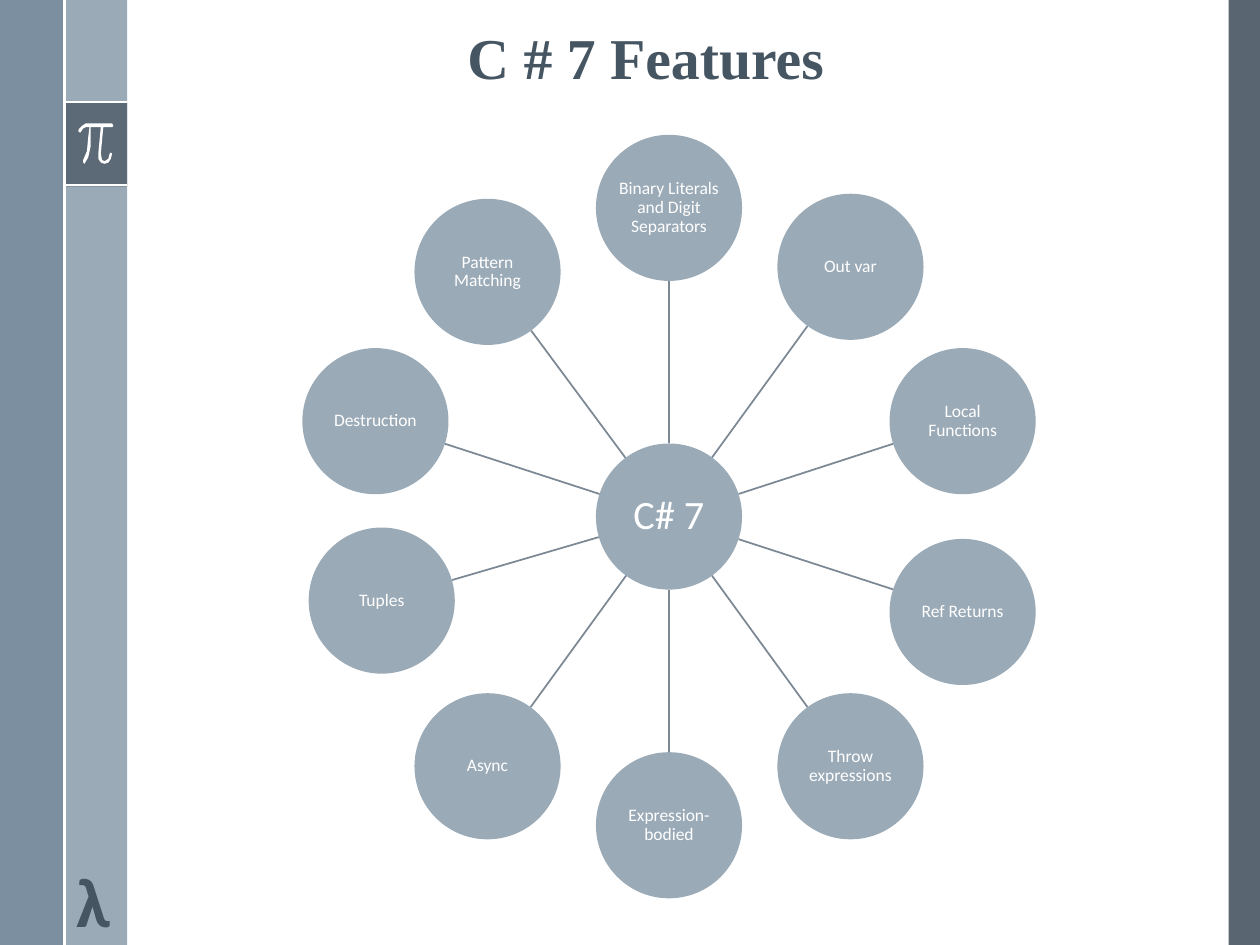
from math import cos, hypot, radians, sin

from lxml import etree
from pptx import Presentation
from pptx.dml.color import RGBColor
from pptx.enum.shapes import MSO_CONNECTOR, MSO_SHAPE
from pptx.enum.text import MSO_ANCHOR, PP_ALIGN
from pptx.oxml.ns import qn
from pptx.util import Inches, Pt


def rgb(value):
    return RGBColor.from_string(value)


def add_line(x1, y1, x2, y2, color, width):
    line = s.shapes.add_connector(MSO_CONNECTOR.STRAIGHT, Inches(x1), Inches(y1),
                                  Inches(x2), Inches(y2))
    line.line.color.rgb = rgb(color)
    line.line.width = Pt(width)
    etree.SubElement(line._element.spPr, qn("a:effectLst"))


prs = Presentation()
prs.slide_width, prs.slide_height = Inches(10), Inches(7.5)
s = prs.slides.add_slide(prs.slide_layouts[6])

# Side bars: left, top, width, height, colour, opacity in percent
bars = [
    (9.75, 0, 0.25, 7.5, "475562", 90),
    (0.51, 0, 0.5, 7.5, "9BAAB7", 100),
    (0, 0, 0.5, 7.5, "6A8093", 88),
    (0.51, 0.81, 0.5, 0.67, "475562", 75),
]
for left, top, width, height, color, opacity in bars:
    sp = s.shapes.add_shape(MSO_SHAPE.RECTANGLE, Inches(left), Inches(top),
                            Inches(width), Inches(height))
    sp.shadow.inherit = False
    sp.fill.solid()
    sp.fill.fore_color.rgb = rgb(color)
    sp.line.fill.background()
    if opacity < 100:
        clr = sp._element.spPr.find(qn("a:solidFill")).find(qn("a:srgbClr"))
        etree.SubElement(clr, qn("a:alpha"), val=str(opacity * 1000))

for y in (0.81, 1.47):
    add_line(0.51, y, 1.01, y, "FFFFFF", 1.5)

# Pi symbol, in hundredths of an inch
pi_points = [
    (89, 98), (68, 98), (65, 99.5), (63, 102), (62, 104), (63, 105), (64, 105),
    (65.5, 102.5), (68, 101), (71, 101), (70.5, 109), (69, 120), (66, 127),
    (66, 129), (67, 129.5), (69.5, 125), (71.5, 116), (72.5, 101), (80, 101),
    (78, 122), (78.5, 126), (80, 129), (83, 130), (86, 129), (88, 126), (89, 122),
    (88, 121), (87, 122), (85.5, 126), (83, 128), (81, 127), (80, 122),
    (82, 101), (89, 101), (90, 99.5),
]
builder = s.shapes.build_freeform(*pi_points[0], scale=Inches(0.01))
builder.add_line_segments(pi_points[1:], close=True)
sp = builder.convert_to_shape()
sp.shadow.inherit = False
sp.fill.solid()
sp.fill.fore_color.rgb = rgb("FFFFFF")
sp.line.fill.background()

add_line(0.51, 0, 0.51, 7.5, "FFFFFF", 1.5)

# Hub and evenly spaced features, clockwise from the top
hub_x, hub_y, diameter, orbit = 5.31, 4.1, 1.16, 2.45
features = [
    "Binary Literals and Digit Separators", "Out var", "Local Functions",
    "Ref Returns", "Throw expressions", "Expression-bodied", "Async", "Tuples",
    "Destruction", "Pattern Matching",
]
nudges = {"Tuples": (0.05, -0.09), "Pattern Matching": (0, 0.04)}

circles = [("C# 7", hub_x, hub_y, 23)]
for i, feature in enumerate(features):
    angle = radians(360 / len(features) * i - 90)
    dx, dy = nudges.get(feature, (0, 0))
    circles.append((feature, hub_x + orbit * cos(angle) + dx,
                    hub_y + orbit * sin(angle) + dy, 10))

for text, x, y, size in circles:
    distance = hypot(x - hub_x, y - hub_y)
    if distance:
        rim_x = (x - hub_x) / distance * diameter / 2
        rim_y = (y - hub_y) / distance * diameter / 2
        add_line(hub_x + rim_x, hub_y + rim_y, x - rim_x, y - rim_y, "7C8893", 1)
    sp = s.shapes.add_shape(MSO_SHAPE.OVAL, Inches(x - diameter / 2),
                            Inches(y - diameter / 2), Inches(diameter), Inches(diameter))
    sp.shadow.inherit = False
    sp.fill.solid()
    sp.fill.fore_color.rgb = rgb("9BAAB7")
    sp.line.fill.background()
    tf = sp.text_frame
    tf.word_wrap = True
    tf.vertical_anchor = MSO_ANCHOR.MIDDLE
    tf.margin_left = tf.margin_right = tf.margin_top = tf.margin_bottom = Inches(0.01)
    p = tf.paragraphs[0]
    p.text = text
    p.alignment = PP_ALIGN.CENTER
    p.line_spacing = 0.9
    p.font.name, p.font.size = "Calibri", Pt(size)
    p.font.color.rgb = rgb("FFFFFF")

# Lambda and title
labels = [
    ("λ", 0.51, 6.76, 0.54, 0.77, "Calibri", 40, PP_ALIGN.LEFT, MSO_ANCHOR.TOP),
    ("C # 7 Features", 1.75, -0.02, 6.75, 0.94, "Times New Roman", 33,
     PP_ALIGN.CENTER, MSO_ANCHOR.MIDDLE),
]
for text, left, top, width, height, font, size, align, anchor in labels:
    tf = s.shapes.add_textbox(Inches(left), Inches(top), Inches(width),
                              Inches(height)).text_frame
    tf.word_wrap = True
    tf.vertical_anchor = anchor
    p = tf.paragraphs[0]
    p.text = text
    p.alignment = align
    p.font.name, p.font.size, p.font.bold = font, Pt(size), True
    p.font.color.rgb = rgb("465562")

prs.save("out.pptx")
